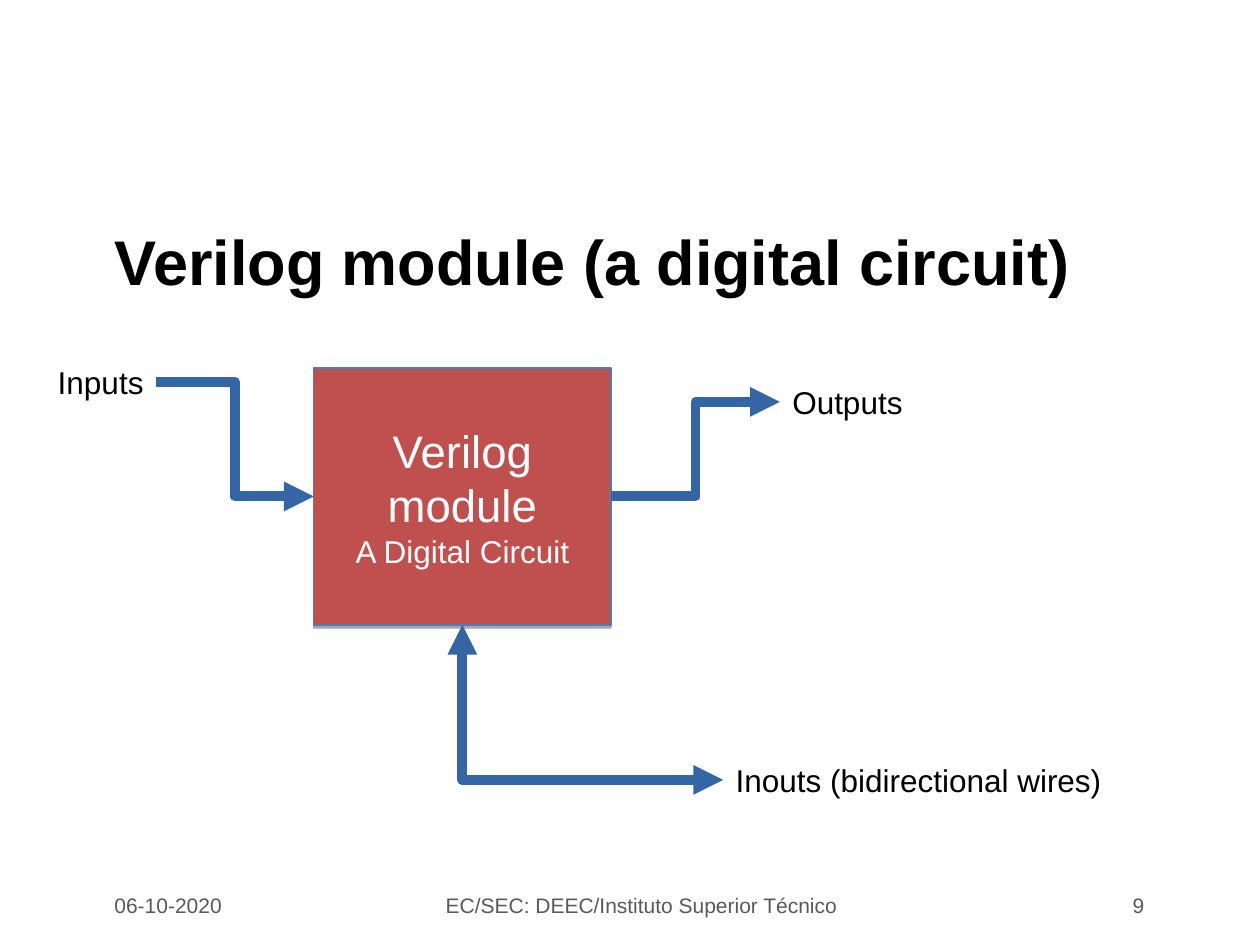
from dataclasses import dataclass

from lxml import etree
from pptx import Presentation
from pptx.dml.color import RGBColor
from pptx.enum.shapes import MSO_CONNECTOR, MSO_SHAPE
from pptx.enum.text import MSO_ANCHOR, MSO_AUTO_SIZE, PP_ALIGN
from pptx.oxml.ns import qn
from pptx.util import Inches, Pt

LEFT, CENTER, RIGHT = PP_ALIGN.LEFT, PP_ALIGN.CENTER, PP_ALIGN.RIGHT
MIDDLE, TOP = MSO_ANCHOR.MIDDLE, MSO_ANCHOR.TOP
ELBOW, RECTANGLE = MSO_CONNECTOR.ELBOW, MSO_SHAPE.RECTANGLE
LEFT_SIDE, BOTTOM_SIDE, RIGHT_SIDE = 1, 2, 3
TITLE_ONLY = 5


@dataclass(frozen=True)
class Theme:
    font: str = "Arial"
    text: RGBColor = RGBColor(0, 0, 0)
    footer: RGBColor = RGBColor(0x59, 0x59, 0x59)
    module_text: RGBColor = RGBColor(255, 255, 255)
    module_fill: RGBColor = RGBColor(0xC0, 0x50, 0x4D)
    module_line: RGBColor = RGBColor(0x4A, 0x7E, 0xBB)
    wire: RGBColor = RGBColor(0x34, 0x65, 0xA4)
    title_size: float = 36
    module_size: float = 26
    label_size: float = 18
    footer_size: float = 12
    wire_width: float = 5.67


@dataclass(frozen=True)
class Label:
    text: str
    left: float
    top: float
    width: float
    height: float
    align: PP_ALIGN = LEFT


THEME = Theme()
TITLE = Label("Verilog module (a digital circuit)", 0.81, 1.59, 8.37, 0.95)
FOOTERS = [
    Label("06-10-2020", 0.81, 7.01, 2.02, 0.34),
    Label("EC/SEC: DEEC/Instituto Superior Técnico ", 3.42, 7.01, 3.39, 0.34, CENTER),
    Label("9", 7.18, 7.01, 2, 0.34, RIGHT),
]
INPUTS = Label("Inputs", 0.36, 2.83, 0.88, 0.4)
OUTPUTS = Label("Outputs", 6.19, 2.99, 1.1, 0.4)
INOUTS = Label("Inouts (bidirectional wires)", 5.74, 5.99, 3.14, 0.4)


def style(paragraph, size: float, color: RGBColor, align: PP_ALIGN = LEFT, bold: bool = False) -> None:
    paragraph.alignment = align
    font = paragraph.font
    font.name, font.size, font.bold = THEME.font, Pt(size), bold
    font.color.rgb = color


def place(shape, label: Label) -> None:
    shape.left, shape.top = Inches(label.left), Inches(label.top)
    shape.width, shape.height = Inches(label.width), Inches(label.height)


def add_label(slide, label: Label, size: float, color: RGBColor,
              anchor: MSO_ANCHOR = TOP, wrap: bool = False):
    box = slide.shapes.add_textbox(0, 0, 0, 0)
    frame = box.text_frame
    frame.text = label.text
    frame.word_wrap = wrap
    frame.auto_size = MSO_AUTO_SIZE.NONE if wrap else MSO_AUTO_SIZE.SHAPE_TO_FIT_TEXT
    frame.vertical_anchor = anchor
    style(frame.paragraphs[0], size, color, label.align)
    place(box, label)
    return box


def add_module(slide):
    module = slide.shapes.add_shape(RECTANGLE, Inches(2.49), Inches(2.92), Inches(2.36), Inches(2.04))
    module.fill.solid()
    module.fill.fore_color.rgb = THEME.module_fill
    module.line.color.rgb = THEME.module_line
    module.line.width = Pt(0.75)

    # Short shadow straight below
    module.shadow.inherit = False
    effects = module._element.spPr.find(qn("a:effectLst"))
    shadow = etree.SubElement(effects, qn("a:outerShdw"), dist=str(Pt(1.8)), dir="5400000", rotWithShape="0")
    black = etree.SubElement(shadow, qn("a:srgbClr"), val="000000")
    etree.SubElement(black, qn("a:alpha"), val="35000")

    frame = module.text_frame
    frame.word_wrap = True
    frame.vertical_anchor = MIDDLE
    frame.text = "Verilog module\nA Digital Circuit"
    for paragraph, size in zip(frame.paragraphs, (THEME.module_size, THEME.label_size)):
        style(paragraph, size, THEME.module_text, CENTER)
    return module


def add_wire(slide, source, source_side: int, target, target_side: int, both_ways: bool = False):
    wire = slide.shapes.add_connector(ELBOW, source.left, source.top, target.left, target.top)
    wire.begin_connect(source, source_side)
    wire.end_connect(target, target_side)
    wire.line.color.rgb = THEME.wire
    wire.line.width = Pt(THEME.wire_width)
    properties = wire._element.spPr
    line = properties.find(qn("a:ln"))
    etree.SubElement(line, qn("a:round"))
    for end in ("a:headEnd", "a:tailEnd") if both_ways else ("a:tailEnd",):
        etree.SubElement(line, qn(end), type="triangle")
    etree.SubElement(properties, qn("a:effectLst"))
    return wire


def make_single_bend(wire) -> None:
    """Turn a wire into one that runs down first, then right."""
    left, top, width, height = wire.left, wire.top, wire.width, wire.height
    properties = wire._element.spPr
    properties.find(qn("a:prstGeom")).set("prst", "bentConnector2")
    wire.left, wire.top = left + (width - height) // 2, top + (height - width) // 2
    wire.width, wire.height = height, width
    wire.rotation = 270
    properties.find(qn("a:xfrm")).set("flipH", "1")


def main() -> None:
    presentation = Presentation()
    presentation.slide_width, presentation.slide_height = Inches(10), Inches(7.5)
    slide = presentation.slides.add_slide(presentation.slide_layouts[TITLE_ONLY])

    # Title
    title = slide.shapes.title
    place(title, TITLE)
    title.text_frame.text = TITLE.text
    title.text_frame.vertical_anchor = MIDDLE
    style(title.text_frame.paragraphs[0], THEME.title_size, THEME.text, bold=True)

    # Footer
    for footer in FOOTERS:
        add_label(slide, footer, THEME.footer_size, THEME.footer, MIDDLE, wrap=True)

    # Module and its ports
    module = add_module(slide)
    inputs, outputs, inouts = (
        add_label(slide, port, THEME.label_size, THEME.text) for port in (INPUTS, OUTPUTS, INOUTS)
    )

    # Wires
    add_wire(slide, module, RIGHT_SIDE, outputs, LEFT_SIDE)
    add_wire(slide, inputs, RIGHT_SIDE, module, LEFT_SIDE)
    make_single_bend(add_wire(slide, module, BOTTOM_SIDE, inouts, LEFT_SIDE, both_ways=True))

    presentation.save("out.pptx")


if __name__ == "__main__":
    main()
